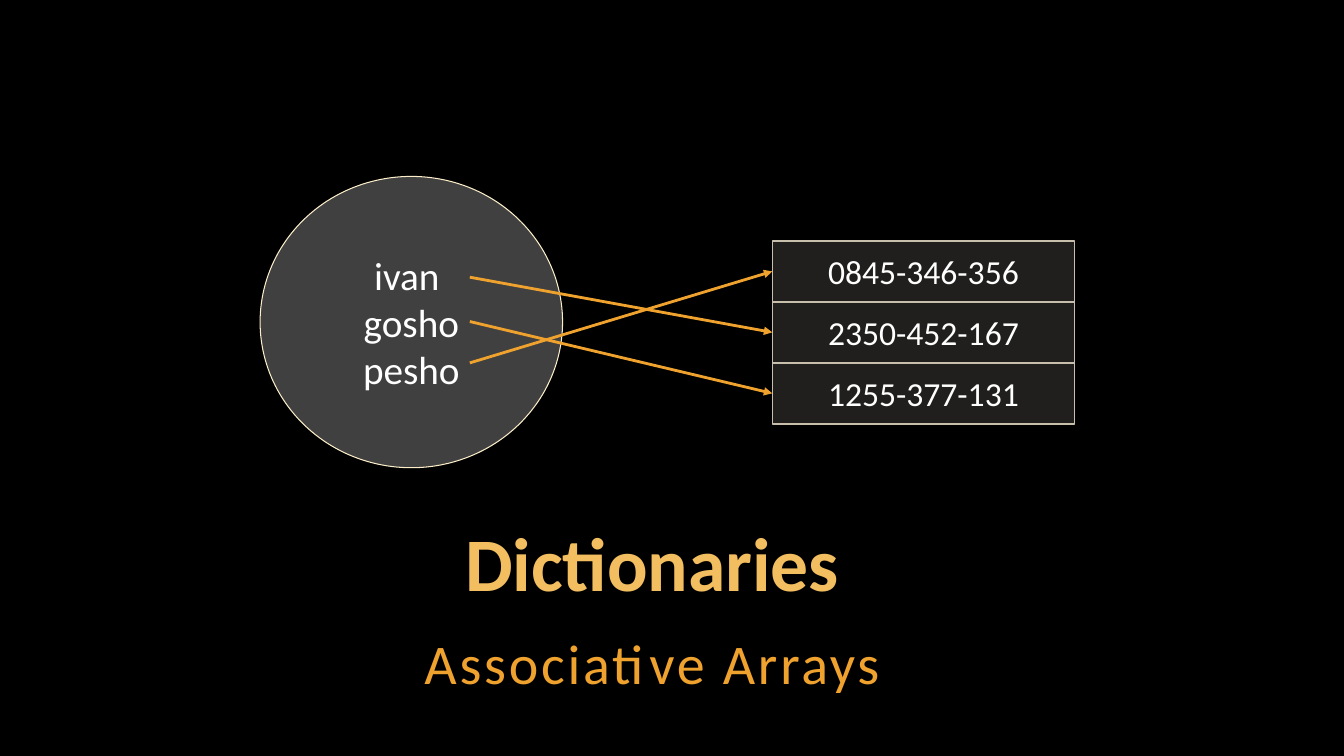
from lxml import etree
from pptx import Presentation
from pptx import util as u
from pptx.dml.color import RGBColor
from pptx.enum import shapes, text
from pptx.oxml.ns import qn

FONT = "Calibri"
WHITE, GOLD, ORANGE = "FFFFFF", "F3BE60", "F0A22E"
TITLE = "Dictionaries"
SUBTITLE = "Associative Arrays"
KEYS = ["ivan ", "gosho", "pesho"]
VALUES = ["0845-346-356", "2350-452-167", "1255-377-131"]
KEY_HEIGHTS = [2.75, 3.19, 3.6]
VALUE_OF_KEY = [1, 2, 0]

ARROW_LEFT = 4.66
VALUE_LEFT, VALUE_TOP = 7.66, 2.39
VALUE_WIDTH, VALUE_HEIGHT = 3, 0.605


def paint(color_format, color):
    color_format.rgb = RGBColor.from_string(color)


def fill_shape(shape, fill, opacity, line, line_width):
    shape.shadow.inherit = False
    shape.fill.solid()
    paint(shape.fill.fore_color, fill)
    color = shape.fill._xPr.find(qn("a:solidFill"))[0]
    etree.SubElement(color, qn("a:alpha"), val=str(opacity * 1000))
    paint(shape.line.color, line)
    shape.line.width = u.Pt(line_width)


def write(shape, lines, size, color, anchor, insets, bold=False):
    frame = shape.text_frame
    frame.word_wrap = True
    frame.vertical_anchor = anchor
    frame.margin_left = frame.margin_right = u.Inches(insets[0])
    frame.margin_top = frame.margin_bottom = u.Inches(insets[1])
    frame.text = "\n".join(lines)
    for para in frame.paragraphs:
        para.alignment = text.PP_ALIGN.CENTER
        para.font.name = FONT
        para.font.size = u.Pt(size)
        para.font.bold = bold
        paint(para.font.color, color)
    return frame.paragraphs[0]


def add_arrow(page, start, end):
    points = [u.Inches(value) for value in (*start, *end)]
    arrow = page.shapes.add_connector(shapes.MSO_CONNECTOR.STRAIGHT, *points)
    paint(arrow.line.color, ORANGE)
    arrow.line.width = u.Pt(2)
    etree.SubElement(arrow.line._get_or_add_ln(), qn("a:tailEnd"), type="triangle")
    etree.SubElement(arrow._element.spPr, qn("a:effectLst"))


def area(*lengths):
    return [u.Inches(length) for length in lengths]


def main():
    deck = Presentation()
    deck.slide_width, deck.slide_height = area(13.33, 7.5)
    page = deck.slides.add_slide(deck.slide_layouts[6])
    page.background.fill.solid()
    paint(page.background.fill.fore_color, "000000")
    anchors = text.MSO_ANCHOR

    title = page.shapes.add_textbox(*area(1.58, 5.21, 9.78, 0.85))
    para = write(title, [TITLE], 54, GOLD, anchors.BOTTOM, (0.04, 0.04), True)
    para.line_spacing = u.Pt(54)

    subtitle = page.shapes.add_textbox(*area(1.58, 6.16, 9.78, 0.75))
    para = write(subtitle, [SUBTITLE], 40, ORANGE, anchors.TOP, (0.04, 0.04))
    para.line_spacing = 1.05
    para.space_after = u.Pt(6)
    para.runs[0]._r.get_or_add_rPr().set("spc", "200")

    key_set = page.shapes.add_shape(
        shapes.MSO_SHAPE.OVAL, *area(2.58, 1.75, 3, 2.89))
    fill_shape(key_set, "808080", 50, "FBEEC9", 0.75)
    write(key_set, KEYS, 28, WHITE, anchors.MIDDLE, (0.1, 0.05))

    for height, row in zip(KEY_HEIGHTS, VALUE_OF_KEY):
        target = VALUE_TOP + (row + 0.5) * VALUE_HEIGHT
        add_arrow(page, (ARROW_LEFT, height), (VALUE_LEFT, target))

    for row, value in enumerate(VALUES):
        top = VALUE_TOP + row * VALUE_HEIGHT
        cell = page.shapes.add_shape(
            shapes.MSO_SHAPE.RECTANGLE,
            *area(VALUE_LEFT, top, VALUE_WIDTH, VALUE_HEIGHT))
        fill_shape(cell, "D9D5C7", 15, "C7BFAC", 1)
        write(cell, [value], 24, WHITE, anchors.TOP, (0.2, 0.1))

    deck.save("out.pptx")


if __name__ == "__main__":
    main()
